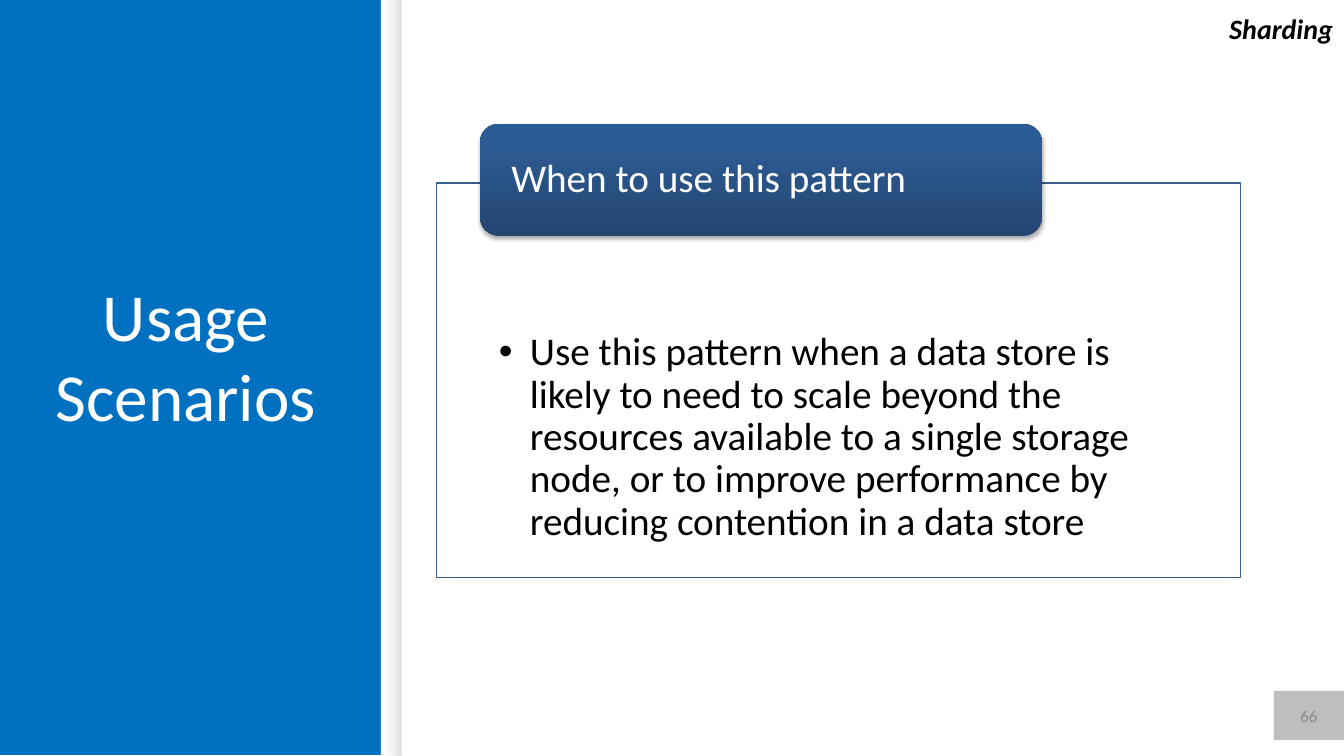
from dataclasses import dataclass

from lxml import etree
from pptx import Presentation
from pptx.dml.color import RGBColor
from pptx.enum.shapes import MSO_SHAPE as Shape
from pptx.enum.text import MSO_ANCHOR as Anchor, MSO_AUTO_SIZE as AutoSize, PP_ALIGN as Align
from pptx.oxml.ns import qn
from pptx.util import Emu, Pt

EMU_PER_PX = 914400 / 100.8


@dataclass(frozen=True)
class Theme:
    font: str = "Calibri"
    blue: str = "0070C0"
    white: str = "FFFFFF"
    black: str = "000000"
    badge: str = "7F7F7F"
    badge_text: str = "8C8C8C"
    border: str = "3A5F8C"
    # Gradient stops: position %, colour, opacity %
    edge_stops: tuple = ((0, "000000", 13), (48, "E3E3E3", 0), (66, "FFFFFF", 0))
    tab_stops: tuple = ((0, "234671", 100), (80, "2D5B93", 100), (100, "2B5C96", 100))
    title_size: int = 48
    body_size: int = 28
    topic_size: int = 20
    number_size: int = 12


THEME = Theme()


def px(length):
    return Emu(round(length * EMU_PER_PX))


def add_color(parent, color, opacity):
    node = etree.SubElement(parent, qn("a:srgbClr"), val=color)
    etree.SubElement(node, qn("a:alpha"), val=str(opacity * 1000))


def add_block(slide, box, kind=Shape.RECTANGLE, fill=None, opacity=100, border=None):
    block = slide.shapes.add_shape(kind, *map(px, box))
    block.shadow.inherit = False
    if fill:
        block.fill.solid()
        block.fill.fore_color.rgb = RGBColor.from_string(fill)
        if opacity < 100:
            color = block._element.spPr.find(qn("a:solidFill"))[0]
            etree.SubElement(color, qn("a:alpha"), val=str(opacity * 1000))
    if border:
        block.line.color.rgb = RGBColor.from_string(border)
        block.line.width = Pt(0.75)
    else:
        block.line.fill.background()
    return block


def fill_gradient(block, stops, angle):
    gradient = etree.Element(qn("a:gradFill"), rotWithShape="1")
    stop_list = etree.SubElement(gradient, qn("a:gsLst"))
    for position, color, opacity in stops:
        stop = etree.SubElement(stop_list, qn("a:gs"), pos=str(position * 1000))
        add_color(stop, color, opacity)
    etree.SubElement(gradient, qn("a:lin"), ang=str(angle * 60000), scaled="0")
    block._element.spPr.find(qn("a:prstGeom")).addnext(gradient)


def drop_shadow(block):
    effects = block._element.spPr.find(qn("a:effectLst"))
    shadow = etree.SubElement(effects, qn("a:outerShdw"), blurRad=str(Pt(3.1)),
                              dist=str(Pt(1.8)), dir=str(90 * 60000), rotWithShape="0")
    add_color(shadow, THEME.black, 35)


def write(holder, words, size, color, align=Align.LEFT, anchor=Anchor.TOP,
          insets=(10, 5, 10, 5), bold=None, italic=None):
    frame = holder.text_frame
    frame.word_wrap = True
    frame.vertical_anchor = anchor
    (frame.margin_left, frame.margin_top,
     frame.margin_right, frame.margin_bottom) = map(px, insets)
    paragraph = frame.paragraphs[0]
    paragraph.alignment = align
    run = paragraph.add_run()
    run.text = words
    font = run.font
    font.name, font.size, font.bold, font.italic = THEME.font, Pt(size), bold, italic
    font.color.rgb = RGBColor.from_string(color)
    return paragraph


def add_bullet(paragraph, indent):
    props = paragraph._p.get_or_add_pPr()
    props.set("marL", str(px(indent)))
    props.set("indent", str(-px(indent)))
    etree.SubElement(props, qn("a:buFont"), typeface="Arial")
    etree.SubElement(props, qn("a:buChar"), char="•")


def title_panel(slide, box, words):
    left, top, width, height = box
    add_block(slide, box, fill=THEME.blue)
    # White content side, with a soft shade along the seam
    seam = left + width
    add_block(slide, (seam, top, 1344 - seam, 756), fill=THEME.white)
    edge = add_block(slide, (seam - 21, top, 42, 756))
    fill_gradient(edge, THEME.edge_stops, 180)
    title = slide.shapes.add_textbox(*map(px, (left + 29, top + 269, width - 67, 216)))
    write(title, words, THEME.title_size, THEME.white, Align.CENTER)


def pattern_card(slide, box, heading, advice):
    left, top, width, height = box
    # Outlined body with the advice
    body = add_block(slide, box, fill=THEME.white, opacity=90, border=THEME.border)
    bullet = write(body, advice, THEME.body_size, THEME.black, insets=(62, 149, 62, 22))
    bullet.line_spacing = 0.9
    bullet.space_after = Pt(4)
    add_bullet(bullet, 31)
    # Heading tab over the top border
    tab = add_block(slide, (left + 43, top - 59, 562, 112), Shape.ROUNDED_RECTANGLE)
    fill_gradient(tab, THEME.tab_stops, 270)
    drop_shadow(tab)
    label = write(tab, heading, THEME.body_size, THEME.white,
                  anchor=Anchor.MIDDLE, insets=(26, 0, 26, 0))
    label.line_spacing = 0.9


def topic_label(slide, box, words):
    topic = slide.shapes.add_textbox(*map(px, box))
    line = write(topic, words, THEME.topic_size, THEME.black, Align.RIGHT,
                 bold=True, italic=True)
    line.space_after = Pt(6)
    topic.text_frame.auto_size = AutoSize.SHAPE_TO_FIT_TEXT


def page_badge(slide, box, number):
    badge = add_block(slide, box, fill=THEME.badge, opacity=50)
    write(badge, number, THEME.number_size, THEME.badge_text, Align.CENTER, Anchor.MIDDLE)


def main():
    deck = Presentation()
    deck.slide_width, deck.slide_height = px(1344), px(756)
    slide = deck.slides.add_slide(deck.slide_layouts[6])
    title_panel(slide, (0, 0, 381, 755), "Usage Scenarios")
    page_badge(slide, (1274, 691, 70, 49), "66")
    pattern_card(
        slide, (437, 183, 804, 395), "When to use this pattern",
        "Use this pattern when a data store is likely to need to scale beyond the "
        "resources available to a single storage node, or to improve performance by "
        "reducing contention in a data store")
    topic_label(slide, (972, 6, 371, 44), "Sharding")
    deck.save("out.pptx")


if __name__ == "__main__":
    main()
